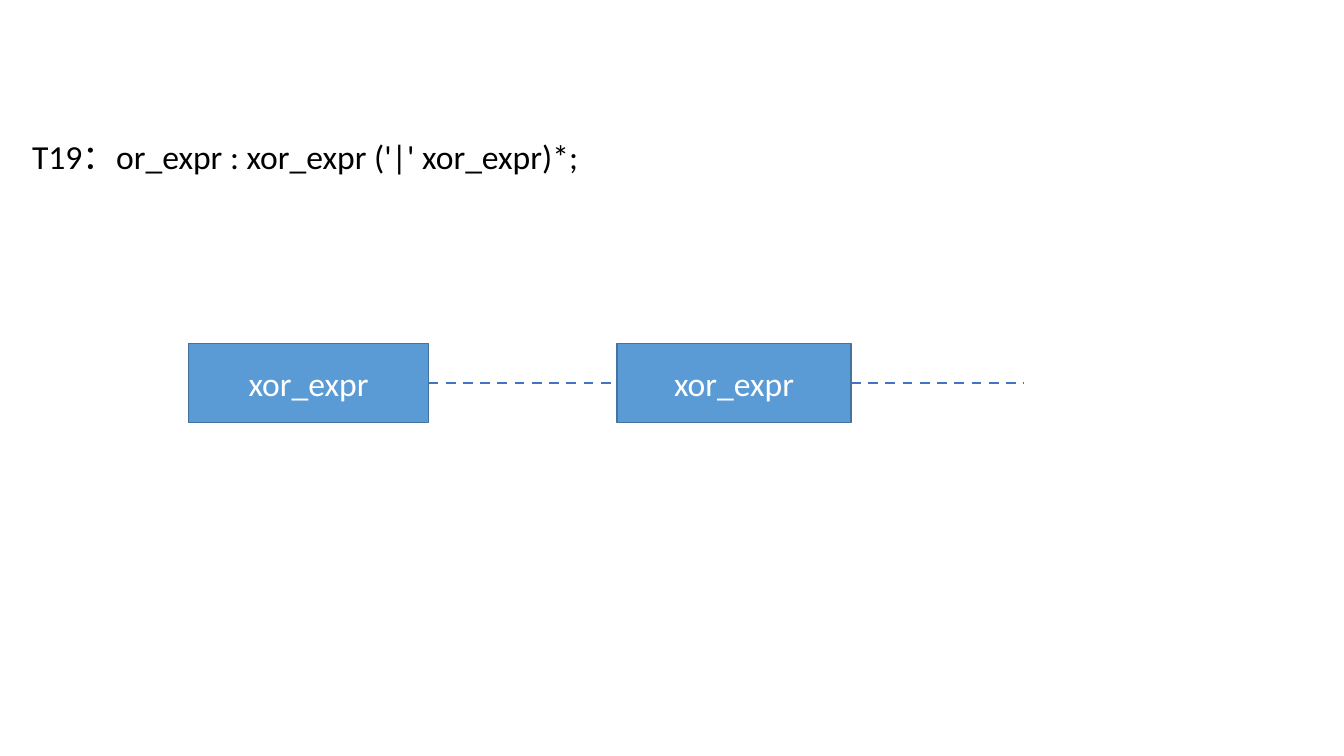
from dataclasses import dataclass

from lxml import etree
from pptx import Presentation
from pptx import util as u
from pptx.dml.color import RGBColor
from pptx.enum import dml, shapes, text
from pptx.oxml import ns


@dataclass(frozen=True)
class Theme:
    font: str = "Calibri"
    size: float = 24
    paper: str = "FFFFFF"
    ink: str = "000000"
    node_fill: str = "5B9BD5"
    node_line: str = "43739E"
    link: str = "4472C4"
    outline_width: float = 1
    link_width: float = 1.75


THEME = Theme()


def add_box(slide, box, wording, fill, line, color, align):
    """Add a filled rectangle with one line of text; box is left, top, width, height."""
    shape = slide.shapes.add_shape(
        shapes.MSO_SHAPE.RECTANGLE, *(u.Inches(length) for length in box))
    shape.shadow.inherit = False
    shape.fill.solid()
    shape.fill.fore_color.rgb = RGBColor.from_string(fill)
    shape.line.color.rgb = RGBColor.from_string(line)
    shape.line.width = u.Pt(THEME.outline_width)
    frame = shape.text_frame
    frame.word_wrap = True
    frame.vertical_anchor = text.MSO_ANCHOR.MIDDLE
    frame.text = wording
    paragraph = frame.paragraphs[0]
    paragraph.alignment = align
    font = paragraph.runs[0].font
    font.name = THEME.font
    font.size = u.Pt(THEME.size)
    font.color.rgb = RGBColor.from_string(color)
    return shape


def add_rule(slide, box):
    shape = add_box(slide, box, "T19：or_expr : xor_expr ('|' xor_expr)*;",
                    THEME.paper, THEME.paper, THEME.ink, text.PP_ALIGN.LEFT)
    shape.text_frame.auto_size = text.MSO_AUTO_SIZE.SHAPE_TO_FIT_TEXT


def add_link(slide, left, right, middle):
    link = slide.shapes.add_connector(
        shapes.MSO_CONNECTOR.STRAIGHT,
        *(u.Inches(length) for length in (left, middle, right, middle)))
    link.line.color.rgb = RGBColor.from_string(THEME.link)
    link.line.width = u.Pt(THEME.link_width)
    link.line.dash_style = dml.MSO_LINE.DASH
    etree.SubElement(link._element.spPr, ns.qn("a:effectLst"))


def add_chain(slide, box, steps):
    """Place nodes from left to right, each followed by a dashed link.

    Each step gives the node's width and the length of its link.
    """
    left, top, _, height = box
    for node_width, link_length in steps:
        right = left + node_width
        add_box(slide, (left, top, node_width, height), "xor_expr",
                THEME.node_fill, THEME.node_line, THEME.paper,
                text.PP_ALIGN.CENTER)
        add_link(slide, right, right + link_length, top + height / 2)
        left = right + link_length


def main():
    presentation = Presentation()
    presentation.slide_width = u.Inches(13.33)
    presentation.slide_height = u.Inches(7.5)
    slide = presentation.slides.add_slide(presentation.slide_layouts[6])
    add_rule(slide, (0.22, 1.3, 8.77, 0.5))
    add_chain(slide, (1.87, 3.41, 8.28, 0.78), [(2.38, 1.87), (2.32, 1.71)])
    presentation.save("out.pptx")


if __name__ == "__main__":
    main()
